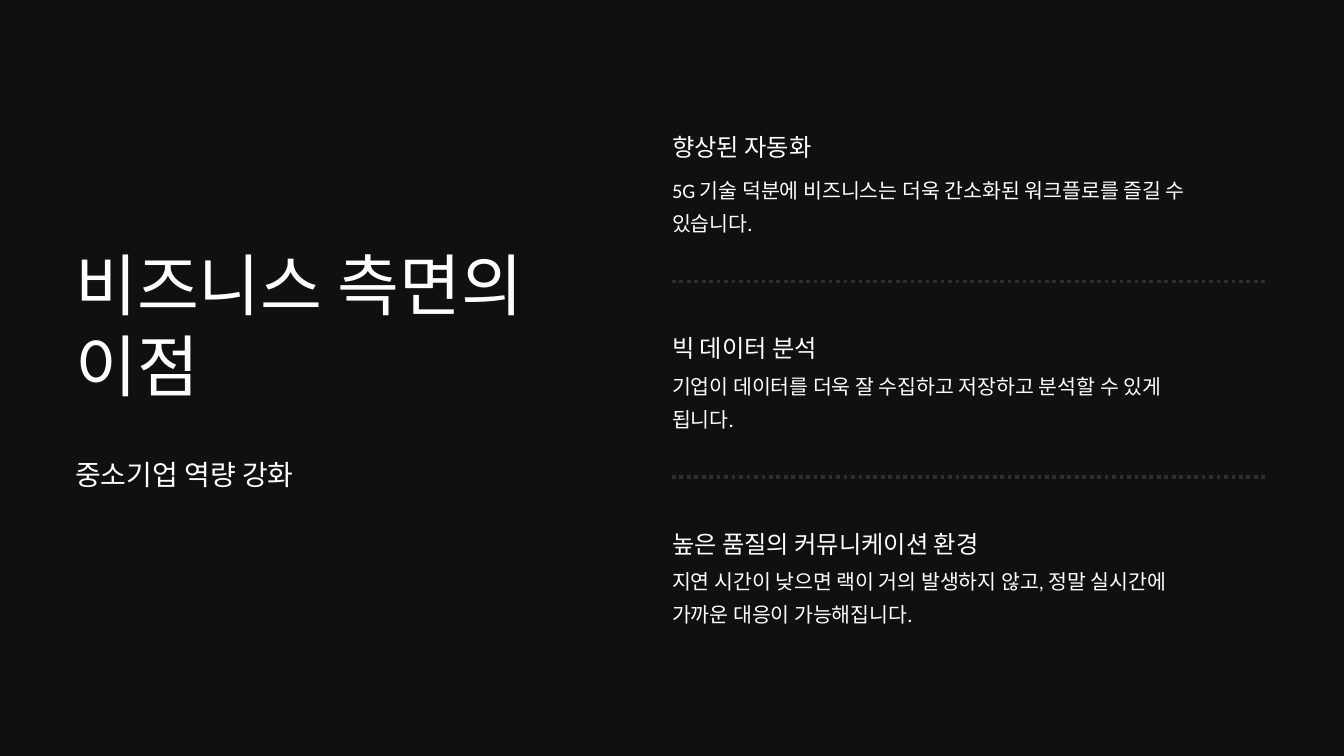
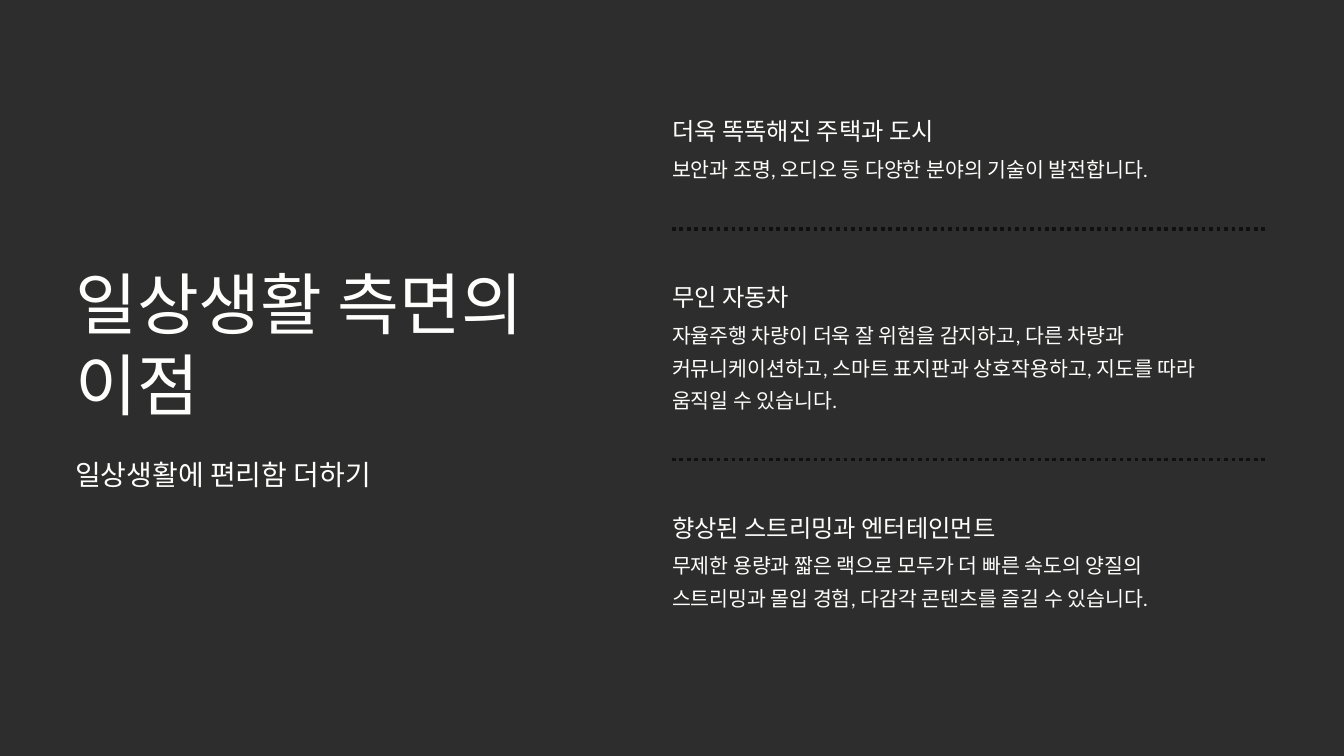
from lxml import etree
from pptx import Presentation
from pptx.dml.color import RGBColor
from pptx.enum.dml import MSO_LINE
from pptx.enum.shapes import MSO_CONNECTOR
from pptx.enum.text import MSO_ANCHOR, MSO_AUTO_SIZE, PP_ALIGN
from pptx.oxml.ns import qn
from pptx.util import Inches, Pt

LEFT, TOP = PP_ALIGN.LEFT, MSO_ANCHOR.TOP
GROW = MSO_AUTO_SIZE.SHAPE_TO_FIT_TEXT
STRAIGHT, DOTTED = MSO_CONNECTOR.STRAIGHT, MSO_LINE.ROUND_DOT

BLACK, CHARCOAL, WHITE = "101010", "2E2D2D", "FEFFFD"
HEADING_FONT, BODY_FONT = "Arial Narrow", "Calibri"
TITLE_X, TITLE_W = 1.12, 7.23
TOPIC_X, TOPIC_W = 10, 8.88
LINE_H = 0.48


def rgb(value):
    return RGBColor.from_string(value)


def set_text(tf, text, *, size, leading, font, color=WHITE):
    """Fill a frame with one paragraph per line of text; leading is in points."""
    tf.word_wrap = True
    tf.auto_size = GROW
    tf.vertical_anchor = TOP
    tf.margin_left = tf.margin_right = tf.margin_top = tf.margin_bottom = 0
    for i, line in enumerate(text.split("\n")):
        p = tf.add_paragraph() if i else tf.paragraphs[0]
        p.alignment = LEFT
        p.space_before = Pt(0)
        p.line_spacing = Pt(leading)
        r = p.add_run()
        r.text = line
        r.font.size, r.font.name = Pt(size), font
        r.font.color.rgb = rgb(color)


class Deck:
    def __init__(self):
        self.prs = Presentation()
        self.prs.slide_width, self.prs.slide_height = Inches(20), Inches(11.25)
        self.s = None

    def add_slide(self, background):
        self.s = self.prs.slides.add_slide(self.prs.slide_layouts[0])
        fill = self.s.background.fill
        fill.solid()
        fill.fore_color.rgb = rgb(background)

    def placeholder(self, index, text, y, h, **style):
        sp = self.s.placeholders[index]
        sp.left, sp.top = Inches(TITLE_X), Inches(y)
        sp.width, sp.height = Inches(TITLE_W), Inches(h)
        set_text(sp.text_frame, text, **style)

    def title(self, text, y):
        self.placeholder(0, text, y, 2.41, size=72, leading=86.4, font=HEADING_FONT)

    def subtitle(self, text):
        self.placeholder(1, text, 6.72, 0.61, size=30, leading=42, font=BODY_FONT)

    def topic_text(self, text, y, h, **style):
        sp = self.s.shapes.add_textbox(Inches(TOPIC_X), Inches(y), Inches(TOPIC_W), Inches(h))
        set_text(sp.text_frame, text, **style)

    def divider(self, y, color):
        line = self.s.shapes.add_connector(
            STRAIGHT, Inches(TOPIC_X), Inches(y), Inches(TOPIC_X + TOPIC_W), Inches(y))
        line.line.color.rgb = rgb(color)
        line.line.width = Pt(4)
        line.line.dash_style = DOTTED
        etree.SubElement(line._element.spPr, qn("a:effectLst"))

    def topics(self, topics, y, gap, divider_color, first_drop=0.55):
        """Stack headed texts, with a divider halfway between neighbours."""
        for i, (heading, body) in enumerate(topics):
            if i:
                self.divider(y + gap, divider_color)
                y += 2 * gap
            self.topic_text(heading, y, 0.47, size=26, leading=36.4, font=HEADING_FONT)
            y += 0.55 if i else first_drop
            body_h = LINE_H * len(body.split("\n"))
            self.topic_text(body, y, body_h, size=22, leading=35.2, font=BODY_FONT)
            y += body_h


BUSINESS = [
    ("향상된 자동화",
     "5G 기술 덕분에 비즈니스는 더욱 간소화된 워크플로를 즐길 수\n있습니다."),
    ("빅 데이터 분석",
     "기업이 데이터를 더욱 잘 수집하고 저장하고 분석할 수 있게\n됩니다."),
    ("높은 품질의 커뮤니케이션 환경",
     "지연 시간이 낮으면 랙이 거의 발생하지 않고, 정말 실시간에\n가까운 대응이 가능해집니다."),
]
DAILY_LIFE = [
    ("더욱 똑똑해진 주택과 도시",
     "보안과 조명, 오디오 등 다양한 분야의 기술이 발전합니다."),
    ("무인 자동차",
     "자율주행 차량이 더욱 잘 위험을 감지하고, 다른 차량과\n"
     "커뮤니케이션하고, 스마트 표지판과 상호작용하고, 지도를 따라\n"
     "움직일 수 있습니다."),
    ("향상된 스트리밍과 엔터테인먼트",
     "무제한 용량과 짧은 랙으로 모두가 더 빠른 속도의 양질의\n"
     "스트리밍과 몰입 경험, 다감각 콘텐츠를 즐길 수 있습니다."),
]


def main():
    deck = Deck()

    deck.add_slide(BLACK)
    deck.title("비즈니스 측면의\n이점", 3.62)
    deck.subtitle("중소기업 역량 강화")
    deck.topics(BUSINESS, 1.9, 0.7, CHARCOAL, first_drop=0.63)

    deck.add_slide(CHARCOAL)
    deck.title("일상생활 측면의\n이점", 3.91)
    deck.subtitle("일상생활에 편리함 더하기")
    deck.topics(DAILY_LIFE, 1.66, 0.72, BLACK)

    deck.prs.save("out.pptx")


if __name__ == "__main__":
    main()
